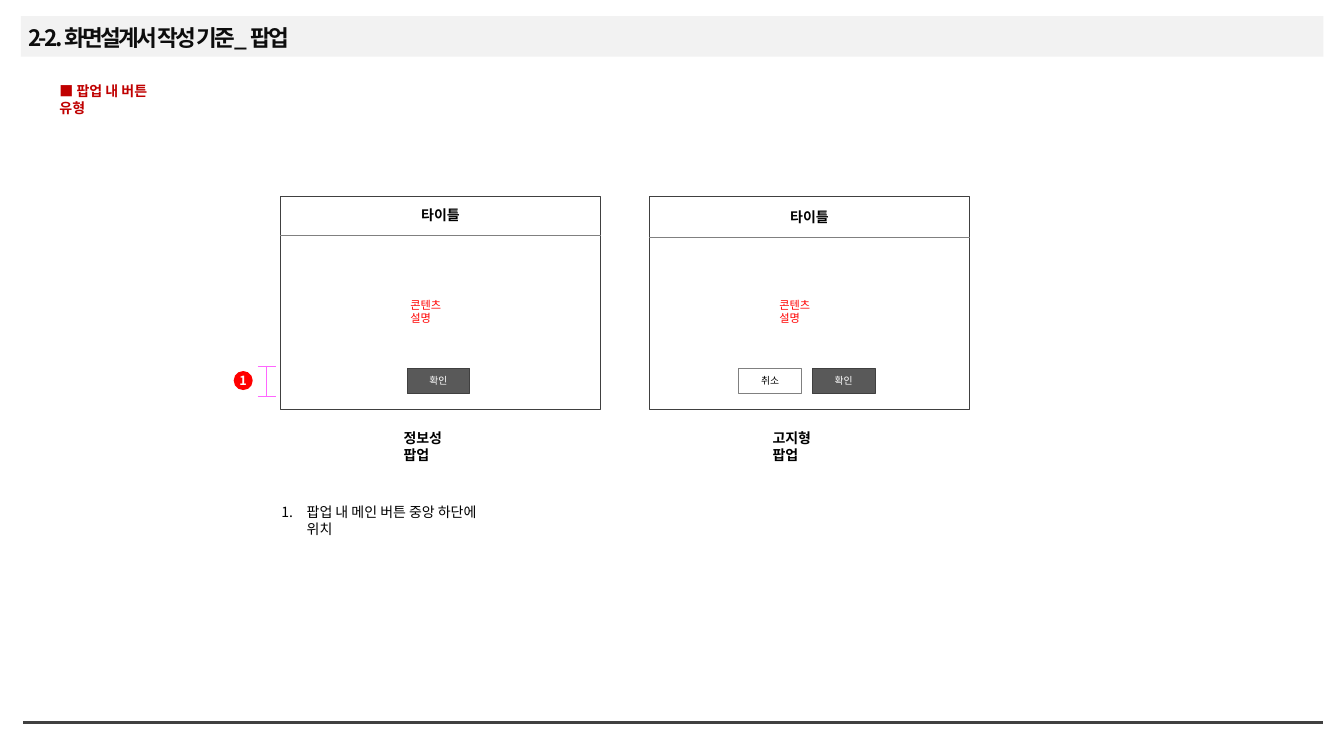
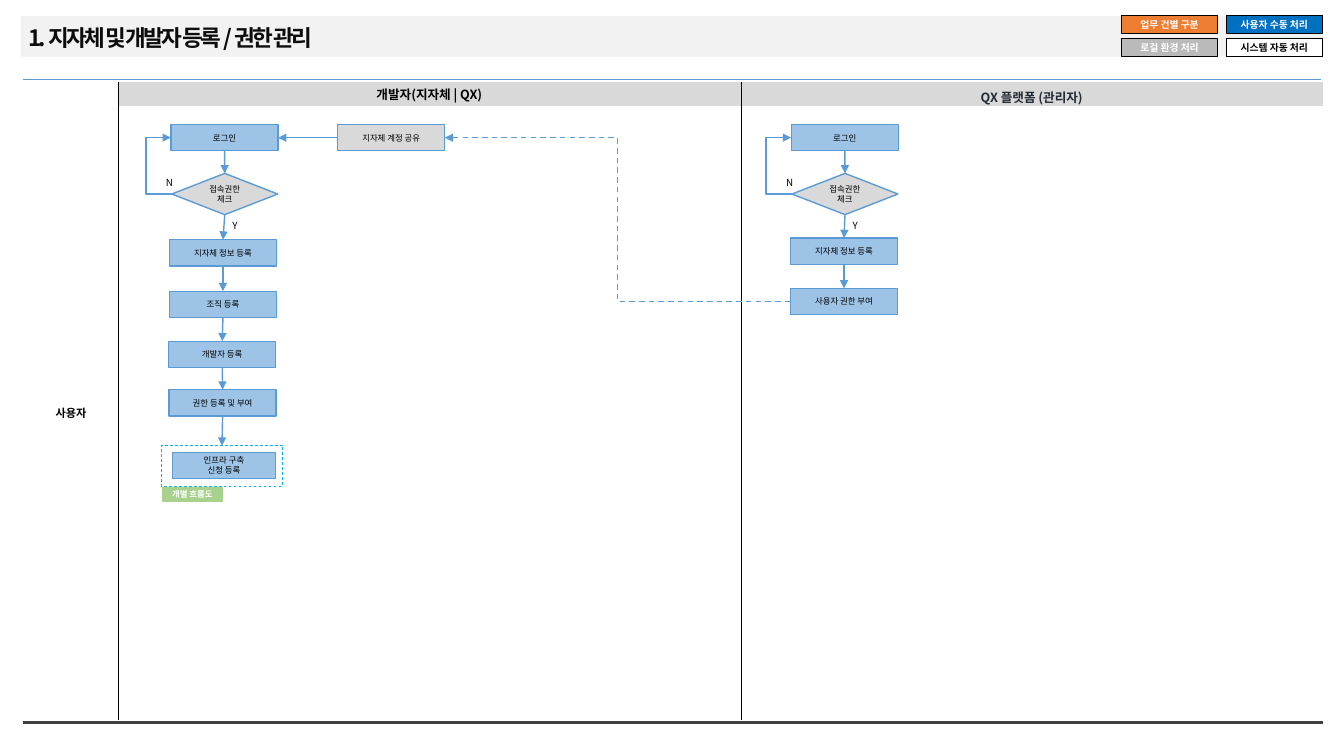
from dataclasses import dataclass

from lxml.etree import SubElement as Sub
from pptx import Presentation
from pptx.dml.color import RGBColor as Rgb
from pptx.enum.dml import MSO_LINE as Dash
from pptx.enum.shapes import MSO_CONNECTOR as Link
from pptx.enum.shapes import MSO_SHAPE as Kind
from pptx.enum.text import MSO_ANCHOR as Anchor
from pptx.enum.text import PP_ALIGN as Align
from pptx.oxml.ns import qn
from pptx.util import Cm, Pt

FONT = "Noto Sans CJK KR"
PLAIN = "{2D5ABB26-0587-4C30-8999-92F81FD0307C}"
HUES = {
    "white": "FFFFFF", "black": "000000", "band": "F2F2F2", "ink": "0D0D0D",
    "dark": "404040", "slate": "595959", "mid": "808080", "pale": "D9D9D9",
    "ash": "BABABA", "navy": "222A35", "brick": "C00000", "red": "FF0000",
    "pink": "FF66FF", "blue": "0070C0", "orange": "ED7D31", "edge": "5B9BD5",
    "sky": "9DC3E6", "cyan": "00B0F0", "green": "A9D18E",
}


@dataclass
class Button:
    dx: float
    text: str
    fill: str
    line: str
    ink: str


@dataclass
class Popup:
    x: float
    head: float
    name: str
    buttons: list[Button]


@dataclass
class Node:
    x: float
    y: float
    text: str
    fill: str = "sky"
    w: float = 2.7


@dataclass
class Key:
    col: int
    row: int
    text: str
    fill: str
    ink: str = "white"


def hue(name: str) -> Rgb:
    return Rgb.from_string(HUES[name])


def write(frame, text: str, *, size: float, color: str = "black",
          bold: bool = False, align=Align.LEFT, anchor=None, pad=None,
          wrap=None, space: int = 0, number: bool = False) -> None:
    """Fill a frame, one paragraph per line; space is in 1/100 pt."""
    if wrap is not None:
        frame.word_wrap = wrap
    if anchor is not None:
        frame.vertical_anchor = anchor
    if pad is not None:
        frame.margin_left = frame.margin_right = Cm(pad)
        frame.margin_top = frame.margin_bottom = Cm(pad)
    for i, line in enumerate(text.split("\n")):
        para = frame.add_paragraph() if i else frame.paragraphs[0]
        para.alignment = align
        if number:
            props = para._p.get_or_add_pPr()
            props.set("marL", str(Cm(0.64)))
            props.set("indent", str(-Cm(0.64)))
            Sub(props, qn("a:buFont"), typeface="+mj-lt")
            Sub(props, qn("a:buAutoNum"), type="arabicPeriod")
        run = para.add_run()
        run.text = line
        font = run.font
        font.name, font.size, font.bold = FONT, Pt(size), bold
        font.color.rgb = hue(color)
        props = run._r.get_or_add_rPr()
        Sub(props, qn("a:ea"), typeface=FONT)
        if space:
            props.set("spc", str(space))


def label(slide, x: float, y: float, w: float, h: float, text: str,
          **form) -> None:
    area = slide.shapes.add_textbox(Cm(x), Cm(y), Cm(w), Cm(h))
    write(area.text_frame, text, **{"pad": 0.13, "wrap": True} | form)


def box(slide, kind, x: float, y: float, w: float, h: float, fill=None,
        line=None, width: float = 0.75):
    shape = slide.shapes.add_shape(kind, Cm(x), Cm(y), Cm(w), Cm(h))
    shape.shadow.inherit = False
    if fill:
        shape.fill.solid()
        shape.fill.fore_color.rgb = hue(fill)
    else:
        shape.fill.background()
    if line:
        shape.line.color.rgb = hue(line)
        shape.line.width = Pt(width)
    else:
        shape.line.fill.background()
    return shape


def tag(shape, text: str, **form) -> None:
    """Centre text inside a shape."""
    write(shape.text_frame, text, align=Align.CENTER, anchor=Anchor.MIDDLE,
          pad=0, wrap=False, **form)


def rule(slide, x1: float, y1: float, x2: float, y2: float, color: str,
         width: float, kind=Link.STRAIGHT):
    line = slide.shapes.add_connector(kind, Cm(x1), Cm(y1), Cm(x2), Cm(y2))
    line.line.color.rgb = hue(color)
    line.line.width = Pt(width)
    Sub(line._element.spPr, qn("a:effectLst"))
    return line


def arrow(slide, start, end, out: int = 2, into: int = 0,
          kind=Link.STRAIGHT):
    """Join two shapes by their side numbers."""
    line = rule(slide, 0, 0, 1, 1, "edge", 1, kind)
    line.begin_connect(start, out)
    line.end_connect(end, into)
    Sub(line.line._get_or_add_ln(), qn("a:tailEnd"), type="triangle")
    return line


def loop(slide, start, end) -> None:
    """Lead an arrow from left side to left side around the outside."""
    line = arrow(slide, start, end, 1, 1, Link.ELBOW)
    bend = -Cm(0.65) / (line.end_x - line.begin_x)
    shape = line._element.spPr.find(qn("a:prstGeom"))
    guides = shape.find(qn("a:avLst"))
    if guides is None:
        guides = Sub(shape, qn("a:avLst"))
    Sub(guides, qn("a:gd"), name="adj1", fmla=f"val {round(bend * 100000)}")


def page(deck, title: str):
    slide = deck.slides.add_slide(deck.slide_layouts[6])
    box(slide, Kind.RECTANGLE, 0.53, 0.41, 32.82, 1.02, "band")
    rule(slide, 0.58, 18.21, 33.35, 18.21, "dark", 2.25)
    label(slide, 0.58, 0.46, 24.1, 0.97, title, size=16.1, color="ink",
          bold=True, anchor=Anchor.MIDDLE, space=-190)
    return slide


def popup(slide, item: Popup) -> None:
    x, top, w = item.x, 4.95, 8.08
    box(slide, Kind.RECTANGLE, x, top, w, 5.38, "white", "dark")
    label(slide, x + 0.13, top + item.head - 0.86, w - 0.26, 0.69, "타이틀",
          size=10, bold=True, align=Align.CENTER)
    y = top + item.head
    rule(slide, x, y, x + w, y, "mid", 0.5)
    label(slide, x + 3.15, 7.39, 1.55, 0.64, "콘텐츠 설명", size=8,
          color="red")
    for part in item.buttons:
        shape = box(slide, Kind.RECTANGLE, x + part.dx, 9.28, 1.58, 0.64,
                    part.fill, part.line, 0.5)
        tag(shape, part.text, size=7, color=part.ink)
    label(slide, x + 2.98, 10.7, 1.85, 0.71, item.name, size=10, bold=True)


def node(slide, item: Node):
    shape = box(slide, Kind.FLOWCHART_PROCESS, item.x, item.y, item.w, 0.66,
                item.fill, "edge", 1)
    tag(shape, item.text, size=6)
    return shape


def lane(slide, x: float, steps: list[Node]) -> list:
    """Draw login, access check and the steps below, joined in order."""
    login = node(slide, Node(x, 3.14, "로그인"))
    check = box(slide, Kind.FLOWCHART_DECISION, x + 0.02, 4.37, 2.67, 1.04,
                "pale", "edge", 1)
    tag(check, "접속권한\n체크", size=6)
    loop(slide, check, login)
    for dx, y, text in ((1.38, 5.4, "Y"), (-0.27, 4.32, "N")):
        label(slide, x + dx, y, 0.46, 0.53, text, size=7,
              align=Align.CENTER, wrap=False)
    chain = [login, check] + [node(slide, step) for step in steps]
    for start, end in zip(chain, chain[1:]):
        arrow(slide, start, end)
    return chain


def border(cell, sides: str) -> None:
    props = cell._tc.get_or_add_tcPr()
    for i, side in enumerate(sides):
        edge = props.makeelement(qn(f"a:ln{side}"), {"w": str(Pt(0.25))})
        fill = Sub(edge, qn("a:solidFill"))
        Sub(fill, qn("a:srgbClr"), val=HUES["black"])
        props.insert(i, edge)


def grid(slide) -> None:
    cols, rows = (2.36, 15.7, 14.66), (0.61, 15.47)
    frame = slide.shapes.add_table(2, 3, Cm(0.61), Cm(2.06), Cm(sum(cols)),
                                   Cm(sum(rows)))
    table = frame.table
    table.first_row = table.horz_banding = False
    table._tbl.tblPr.find(qn("a:tableStyleId")).text = PLAIN
    for col, w in zip(table.columns, cols):
        col.width = Cm(w)
    for row, h in zip(table.rows, rows):
        row.height = Cm(h)
    texts = {
        (0, 1): ("개발자(지자체 | QX)", 9, "black"),
        (0, 2): ("QX 플랫폼 (관리자)", 9, "navy"),
        (1, 0): ("사용자", 8, "black"),
    }
    for r in range(2):
        for c, sides in enumerate(("R", "LR", "L")):
            cell = table.cell(r, c)
            cell.margin_left = cell.margin_right = Cm(0.08)
            cell.margin_top = cell.margin_bottom = Cm(0.08)
            cell.vertical_anchor = Anchor.MIDDLE
            cell.fill.solid()
            cell.fill.fore_color.rgb = hue("white" if r or not c else "pale")
            border(cell, sides)
            if (r, c) in texts:
                text, size, color = texts[r, c]
                write(cell.text_frame, text, size=size, color=color,
                      bold=True, align=Align.CENTER)
            else:
                Sub(cell.text_frame.paragraphs[0]._p, qn("a:endParaRPr"),
                    sz="800")
    last = table.cell(0, 2)
    last.margin_top, last.margin_bottom = Cm(0.15), Cm(0)


def popups(deck) -> None:
    slide = page(deck, "2-2. 화면설계서 작성 기준_ 팝업")
    label(slide, 1.37, 1.96, 2.99, 0.71, "■ 팝업 내 버튼 유형", size=10,
          color="brick", bold=True)
    for y in (9.22, 9.98):
        rule(slide, 6.5, y, 6.96, y, "pink", 0.5)
    rule(slide, 6.71, 9.22, 6.71, 9.98, "pink", 0.5)
    mark = box(slide, Kind.OVAL, 5.89, 9.35, 0.48, 0.48, "red")
    tag(mark, "1", size=9, color="white", bold=True)
    label(slide, 6.96, 12.57, 5.75, 0.71, "팝업 내 메인 버튼 중앙 하단에 위치",
          size=10, number=True)
    dark = ("확인", "slate", "dark", "white")
    light = ("취소", "white", "mid", "black")
    for item in (
        Popup(7.06, 0.99, "정보성 팝업", [Button(3.2, *dark)]),
        Popup(16.36, 1.04, "고지형 팝업",
              [Button(2.26, *light), Button(4.11, *dark)]),
    ):
        popup(slide, item)


def flow(deck) -> None:
    slide = page(deck, "1. 지자체 및 개발자 등록 / 권한 관리")
    for key in (
        Key(0, 0, "업무 건별 구분", "orange"),
        Key(1, 0, "사용자 수동 처리", "blue"),
        Key(0, 1, "로걸 환경 처리", "ash"),
        Key(1, 1, "시스템 자동 처리", "white", "black"),
    ):
        shape = box(slide, Kind.RECTANGLE, 28.27 + 2.64 * key.col,
                    0.39 + 0.58 * key.row, 2.41, 0.46, key.fill, "black")
        tag(shape, key.text, size=7, color=key.ink, bold=True)
    grid(slide)
    rule(slide, 0.58, 2.01, 33.3, 2.01, "edge", 1)

    left = lane(slide, 4.31, [
        Node(4.27, 6.04, "지자체 정보 등록"),
        Node(4.27, 7.34, "조직 등록"),
        Node(4.25, 8.6, "개발자 등록"),
        Node(4.26, 9.82, "권한 등록 및 부여"),
    ])
    right = lane(slide, 19.94, [
        Node(19.92, 6, "지자체 정보 등록"),
        Node(19.92, 7.27, "사용자 권한 부여"),
    ])
    share = node(slide, Node(8.51, 3.14, "지자체 계정 공유", "pale"))
    arrow(slide, share, left[0], 1, 3)
    grant = arrow(slide, right[-1], share, 1, 3, Link.ELBOW)
    grant.line.dash_style = Dash.DASH

    node(slide, Node(4.35, 11.4, "인프라 구축\n신청 등록", w=2.59))
    frame = box(slide, Kind.RECTANGLE, 4.06, 11.23, 3.07, 1.02, None,
                "cyan", 0.5)
    frame.line.dash_style = Dash.DASH
    arrow(slide, left[-1], frame)
    note = box(slide, Kind.RECTANGLE, 4.09, 12.27, 1.52, 0.36, "green",
               "green", 0.5)
    tag(note, "개별 흐름도", size=6, color="white", bold=True)


def main() -> None:
    deck = Presentation()
    deck.slide_width, deck.slide_height = Cm(33.87), Cm(19.05)
    popups(deck)
    flow(deck)
    deck.save("out.pptx")


if __name__ == "__main__":
    main()
